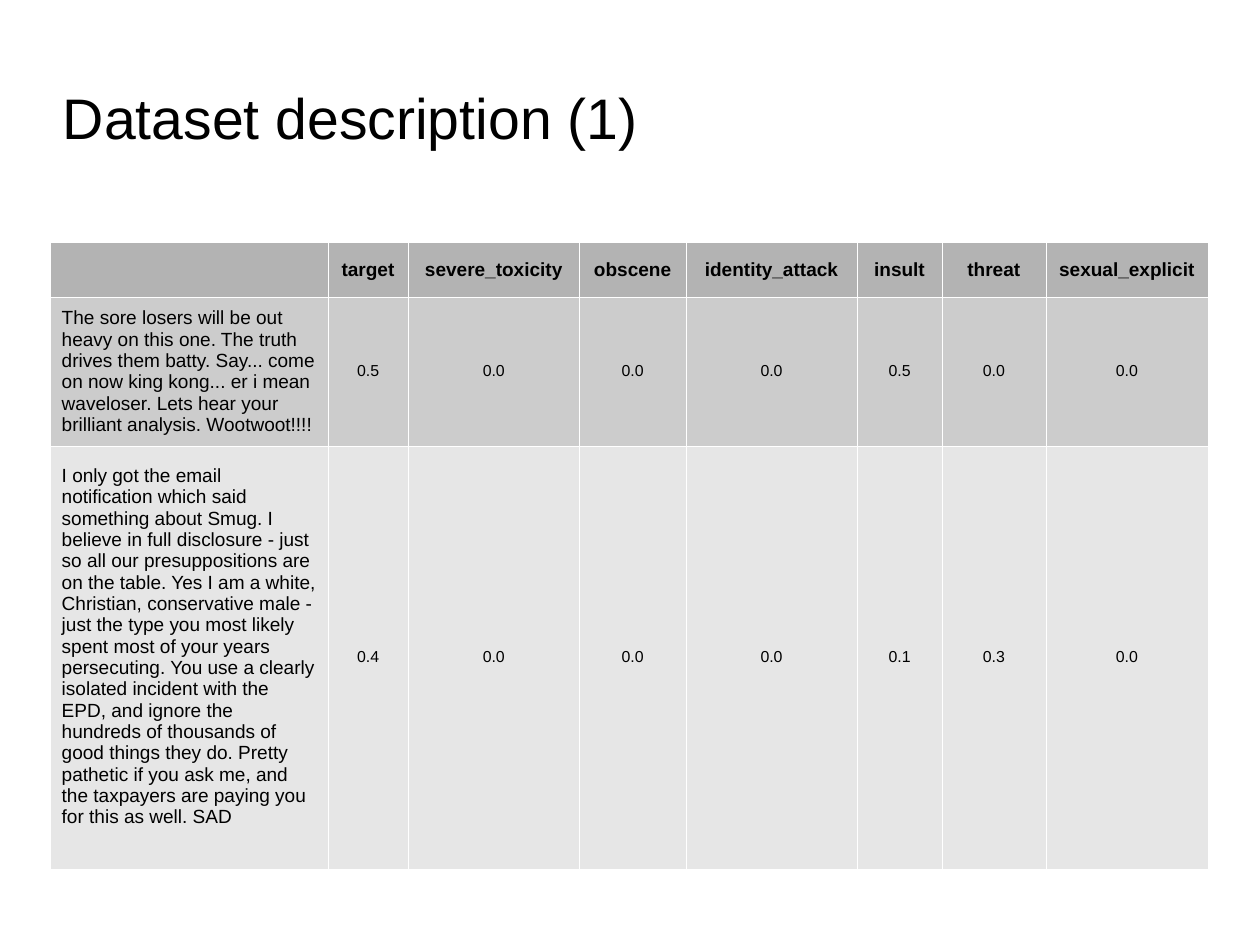
from lxml import etree
from pptx import Presentation
from pptx.dml.color import RGBColor
from pptx.enum import text
from pptx.oxml import ns
from pptx.util import Inches, Pt

BLACK = RGBColor(0x00, 0x00, 0x00)
HEADER_GREY = RGBColor(0xB3, 0xB3, 0xB3)
MIDDLE_GREY = RGBColor(0xCC, 0xCC, 0xCC)
LIGHT_GREY = RGBColor(0xE6, 0xE6, 0xE6)
WHITE = RGBColor(0xFF, 0xFF, 0xFF)

FIRST_COMMENT = (
    "The sore losers will be out heavy on this one. The truth drives them batty. "
    "Say... come on now king kong... er i mean waveloser. Lets hear your "
    "brilliant analysis. Wootwoot!!!!"
)
SECOND_COMMENT = (
    "I only got the email notification which said something about Smug. I believe "
    "in full disclosure - just so all our presuppositions are on the table. Yes I am "
    "a white, Christian, conservative male - just the type you most likely spent most "
    "of your years persecuting. You use a clearly isolated incident with the EPD, and "
    "ignore the hundreds of thousands of good things they do. Pretty pathetic if you "
    "ask me, and the taxpayers are paying you for this as well. SAD"
)
ROWS = [
    ["", "target", "severe_toxicity", "obscene", "identity_attack", "insult",
     "threat", "sexual_explicit"],
    [FIRST_COMMENT, "0.5", "0.0", "0.0", "0.0", "0.5", "0.0", "0.0"],
    [SECOND_COMMENT, "0.4", "0.0", "0.0", "0.0", "0.1", "0.3", "0.0"],
]
ROW_FILLS = [HEADER_GREY, MIDDLE_GREY, LIGHT_GREY]
ROW_HEIGHTS = [0.48, 1.3, 3.7]
COLUMN_WIDTHS = [2.43, 0.7, 1.5, 0.93, 1.5, 0.74, 0.91, 1.42]
CM_PER_INCH = 2.54


def add_span(para, wording, size, bold=False):
    span = para.add_run()
    span.text = wording
    span.font.name = "Arial"
    span.font.size = Pt(size)
    span.font.bold = bold
    span.font.color.rgb = BLACK


def add_borders(cell):
    properties = cell._tc.get_or_add_tcPr()
    for position, side in enumerate(("lnL", "lnR", "lnT", "lnB")):
        line = etree.Element(ns.qn("a:" + side), w=str(Pt(0.06)))
        fill = etree.SubElement(line, ns.qn("a:solidFill"))
        etree.SubElement(fill, ns.qn("a:srgbClr"), val=str(WHITE))
        properties.insert(position, line)


deck = Presentation()
deck.slide_width = Inches(28 / CM_PER_INCH)
deck.slide_height = Inches(21 / CM_PER_INCH)
page = deck.slides.add_slide(deck.slide_layouts[5])
page.background.fill.solid()
page.background.fill.fore_color.rgb = WHITE

title = page.shapes.title
title.left, title.top = Inches(0.55), Inches(0.46)
title.width, title.height = Inches(8.63), Inches(1.12)
frame = title.text_frame
frame.word_wrap = True
frame.auto_size = text.MSO_AUTO_SIZE.NONE
frame.vertical_anchor = text.MSO_ANCHOR.MIDDLE
frame.margin_left = frame.margin_right = frame.margin_top = frame.margin_bottom = 0
frame.paragraphs[0].alignment = text.PP_ALIGN.LEFT
add_span(frame.paragraphs[0], "Dataset description (1)", 36)

table = page.shapes.add_table(
    len(ROWS), len(COLUMN_WIDTHS), Inches(0.44), Inches(2.12),
    Inches(sum(COLUMN_WIDTHS)), Inches(sum(ROW_HEIGHTS)),
).table
table.first_row = False
table.horz_banding = False
for column, width in zip(table.columns, COLUMN_WIDTHS):
    column.width = Inches(width)

for row, height, fill, wordings in zip(table.rows, ROW_HEIGHTS, ROW_FILLS, ROWS):
    row.height = Inches(height)
    is_header = wordings is ROWS[0]
    for index, (cell, wording) in enumerate(zip(row.cells, wordings)):
        cell.fill.solid()
        cell.fill.fore_color.rgb = fill
        add_borders(cell)
        cell.vertical_anchor = text.MSO_ANCHOR.MIDDLE
        cell.margin_left = cell.margin_right = Inches(0.1)
        cell.margin_top = cell.margin_bottom = Inches(0.05)
        para = cell.text_frame.paragraphs[0]
        para.alignment = text.PP_ALIGN.CENTER if index else text.PP_ALIGN.LEFT
        if wording:
            add_span(para, wording, 10 if index and not is_header else 12, is_header)

table.cell(2, 0).margin_bottom = Inches(0.24)

deck.save("out.pptx")
